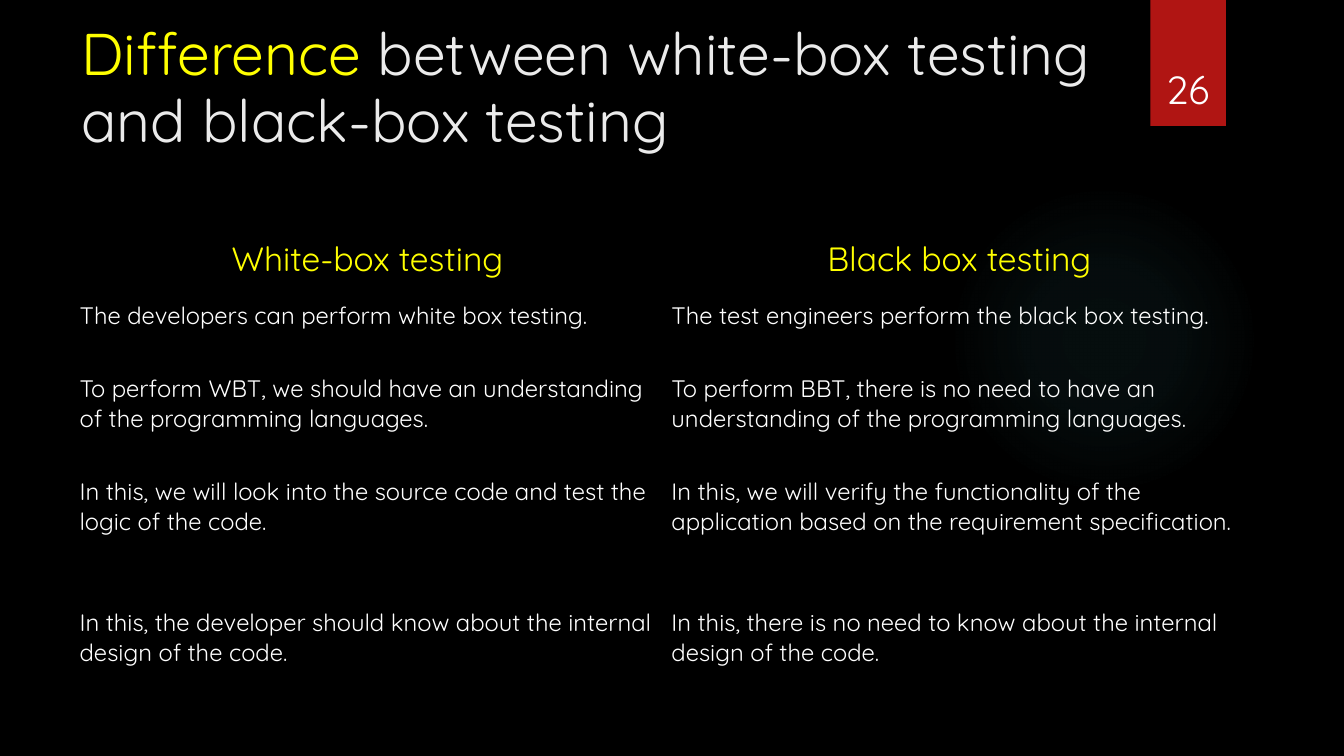
import dataclasses

import lxml.etree
import pptx
import pptx.dml.color
import pptx.enum.shapes
import pptx.enum.text
import pptx.oxml
import pptx.oxml.ns
import pptx.util

Inches = pptx.util.Inches
Pt = pptx.util.Pt
RGB = pptx.dml.color.RGBColor.from_string
SHAPE = pptx.enum.shapes.MSO_SHAPE
ALIGN = pptx.enum.text.PP_ALIGN
ANCHOR = pptx.enum.text.MSO_ANCHOR


@dataclasses.dataclass(frozen=True)
class Theme:
    font: str = "Quicksand"
    back: str = "000000"
    glow: str = "50B9C1"
    tab: str = "B01513"
    key: str = "FFFF00"
    title: str = "EBEBEB"
    body: str = "FFFFFF"
    title_size: int = 42
    page_size: int = 28
    head_size: int = 24
    body_size: int = 17


THEME = Theme()

ROWS = [
    ("White-box testing", "Black box testing"),
    ("The developers can perform white box testing.",
     "The test engineers perform the black box testing."),
    ("To perform WBT, we should have an understanding of the programming languages.",
     "To perform BBT, there is no need to have an understanding of the programming languages."),
    ("In this, we will look into the source code and test the logic of the code.",
     "In this, we will verify the functionality of the application based on "
     "the requirement specification."),
    ("In this, the developer should know about the internal design of the code.",
     "In this, there is no need to know about the internal design of the code."),
]
HEIGHTS = [0.66, 0.73, 1.02, 1.3, 1.02]


def write(frame, *runs, size, align=ALIGN.LEFT, spacing=None):
    """Fill a text frame with one paragraph of (text, colour) runs."""
    frame.word_wrap = True
    para = frame.paragraphs[0]
    para.alignment = align
    para.line_spacing = spacing
    for text, color in runs:
        run = para.add_run()
        run.text = text
        run.font.name = THEME.font
        run.font.size = Pt(size)
        run.font.color.rgb = RGB(color)


def place(slide, kind, box):
    shape = slide.shapes.add_shape(kind, *map(Inches, box))
    shape.shadow.inherit = False
    shape.line.fill.background()
    return shape


def add_glow(slide, box):
    """Draw a circle whose tint fades out from its centre."""
    disc = place(slide, SHAPE.OVAL, box)
    disc.fill.background()
    stops = "".join(
        f'<a:gs pos="{pos * 1000}"><a:srgbClr val="{THEME.glow}">'
        f'<a:alpha val="{alpha * 1000}"/></a:srgbClr></a:gs>'
        for pos, alpha in [(0, 7), (36, 6), (69, 0)])
    grad = pptx.oxml.parse_xml(
        f'<a:gradFill {pptx.oxml.ns.nsdecls("a")}><a:gsLst>{stops}</a:gsLst>'
        '<a:path path="circle"><a:fillToRect l="50000" t="50000" r="50000" b="50000"/>'
        '</a:path></a:gradFill>')
    props = disc.fill._xPr
    props.replace(props.find(pptx.oxml.ns.qn("a:noFill")), grad)


def add_page(slide, box, number):
    left, top, width, height = box
    tab = place(slide, SHAPE.RECTANGLE, box)
    tab.fill.solid()
    tab.fill.fore_color.rgb = RGB(THEME.tab)
    label = slide.shapes.add_textbox(
        Inches(left - 0.09), Inches(top + 0.32), Inches(width + 0.17), Inches(height - 0.41))
    label.text_frame.vertical_anchor = ANCHOR.BOTTOM
    write(label.text_frame, (number, THEME.body), size=THEME.page_size, align=ALIGN.CENTER)


def add_title(slide, box):
    title = slide.shapes.add_textbox(*map(Inches, box))
    write(title.text_frame, ("Difference", THEME.key),
          (" between white-box testing and black-box testing", THEME.title),
          size=THEME.title_size, spacing=0.95)


def add_grid(slide, box):
    frame = slide.shapes.add_table(len(ROWS), len(ROWS[0]), *map(Inches, box))
    grid = frame.table
    grid.horz_banding = False
    # The "No Style, No Grid" table style has neither fills nor borders.
    style = grid._tbl.tblPr.find(pptx.oxml.ns.qn("a:tableStyleId"))
    style.text = "{2D5ABB26-0587-4C30-8999-92F81FD0307C}"
    for r, (texts, height) in enumerate(zip(ROWS, HEIGHTS)):
        grid.rows[r].height = Inches(height)
        head = r == 0
        pad = Inches(0.12 if head else 0.08)
        for c, text in enumerate(texts):
            cell = grid.cell(r, c)
            cell.fill.background()
            cell.margin_left = cell.margin_right = pad
            cell.margin_top = cell.margin_bottom = pad
            write(cell.text_frame, (text, THEME.key if head else THEME.body),
                  size=THEME.head_size if head else THEME.body_size,
                  align=ALIGN.CENTER if head else ALIGN.LEFT)


def main():
    deck = pptx.Presentation()
    deck.slide_width, deck.slide_height = Inches(13.33), Inches(7.5)
    slide = deck.slides.add_slide(deck.slide_layouts[6])
    slide.background.fill.solid()
    slide.background.fill.fore_color.rgb = RGB(THEME.back)
    add_glow(slide, (9.41, 1.83, 3.08, 3.08))
    add_title(slide, (0.71, 0.17, 10.29, 1.53))
    add_grid(slide, (0.71, 2.24, 11.74, sum(HEIGHTS)))
    add_page(slide, (11.41, 0, 0.75, 1.25), "26")
    deck.save("out.pptx")


if __name__ == "__main__":
    main()
